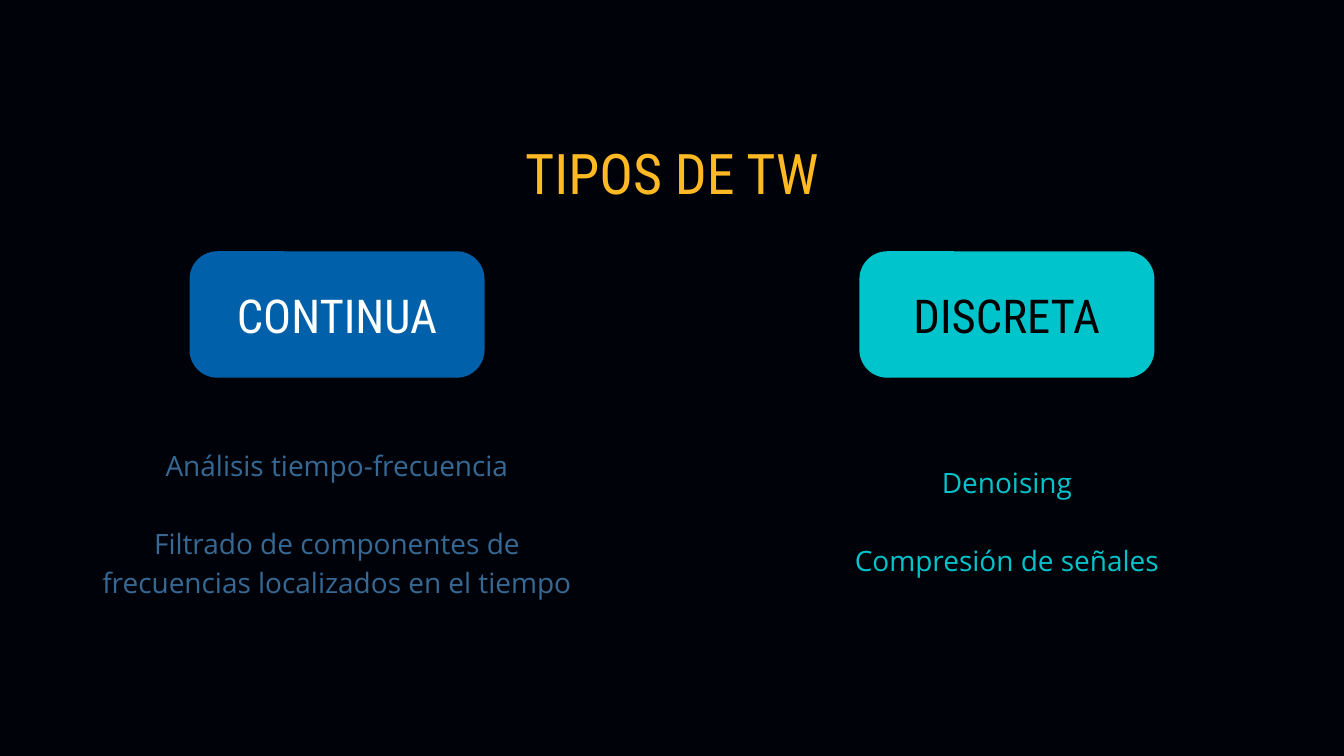
import pptx
import pptx.dml.color
import pptx.enum.shapes
import pptx.enum.text
import pptx.util

Cm = pptx.util.Cm
Pt = pptx.util.Pt
ANCHOR = pptx.enum.text.MSO_ANCHOR

HEAD = "Roboto Condensed"
BODY = "Open Sans"
COLORS = {
    "night": "000209",
    "gold": "FFB923",
    "blue": "0060A9",
    "steel": "366994",
    "cyan": "00C4CC",
    "white": "FFFFFF",
    "black": "000000",
}
WIDTH, HEIGHT = 50.8, 28.58
AXIS = 12.74  # from each slide edge to the centre of its column

# centre, label, box fill, label colour, list colour, list (top, width, height), items
COLUMNS = [
    (AXIS, "CONTINUA", "blue", "white", "steel", (16.74, 19.05, 5.74),
     ["Análisis tiempo-frecuencia",
      "Filtrado de componentes de\vfrecuencias localizados en el tiempo"]),
    (WIDTH - AXIS, "DISCRETA", "cyan", "black", "cyan", (17.37, 13.51, 4.5),
     ["Denoising", "Compresión de señales"]),
]


def paint(fill, name):
    fill.solid()
    fill.fore_color.rgb = pptx.dml.color.RGBColor.from_string(COLORS[name])


def write(frame, items, font, size, color, line=None, gap=0, inset=0,
          anchor=ANCHOR.TOP):
    """Fill a text frame with centred paragraphs of one style."""
    frame.word_wrap = True
    frame.auto_size = pptx.enum.text.MSO_AUTO_SIZE.NONE
    frame.vertical_anchor = anchor
    frame.margin_left = frame.margin_right = Cm(inset)
    frame.margin_top = frame.margin_bottom = Cm(inset)
    for i, item in enumerate(items):
        para = frame.add_paragraph() if i else frame.paragraphs[0]
        para.text = item
        para.alignment = pptx.enum.text.PP_ALIGN.CENTER
        para.space_before = Pt(gap if i else 0)
        if line:
            para.line_spacing = Pt(line)
        para.font.name = font
        para.font.size = Pt(size)
        paint(para.font.fill, color)


def add_title(slide, text):
    title = slide.shapes.title
    wide = 13.67
    title.left, title.top = Cm((WIDTH - wide) / 2), Cm(4.8)
    title.width, title.height = Cm(wide), Cm(3.35)
    write(title.text_frame, [text], HEAD, 60, "gold", line=84)


def add_box(slide, mid, label, fill, color):
    wide, high = 11.15, 4.78
    box = slide.shapes.add_shape(
        pptx.enum.shapes.MSO_SHAPE.ROUNDED_RECTANGLE,
        Cm(mid - wide / 2), Cm(9.5), Cm(wide), Cm(high))
    box.adjustments[0] = 0.22
    box.shadow.inherit = False
    paint(box.fill, fill)
    box.line.fill.background()
    write(box.text_frame, [label], HEAD, 50, color, inset=0.15,
          anchor=ANCHOR.MIDDLE)


def add_list(slide, mid, area, items, color):
    top, wide, high = area
    box = slide.shapes.add_textbox(
        Cm(mid - wide / 2), Cm(top), Cm(wide), Cm(high))
    write(box.text_frame, items, BODY, 30, color, line=42, gap=42)


def main():
    deck = pptx.Presentation()
    deck.slide_width, deck.slide_height = Cm(WIDTH), Cm(HEIGHT)
    slide = deck.slides.add_slide(deck.slide_layouts[5])
    paint(slide.background.fill, "night")

    # Heading
    add_title(slide, "TIPOS DE TW")

    # One column per type
    for mid, label, fill, ink, tint, area, items in COLUMNS:
        add_box(slide, mid, label, fill, ink)
        add_list(slide, mid, area, items, tint)

    deck.save("out.pptx")


if __name__ == "__main__":
    main()
